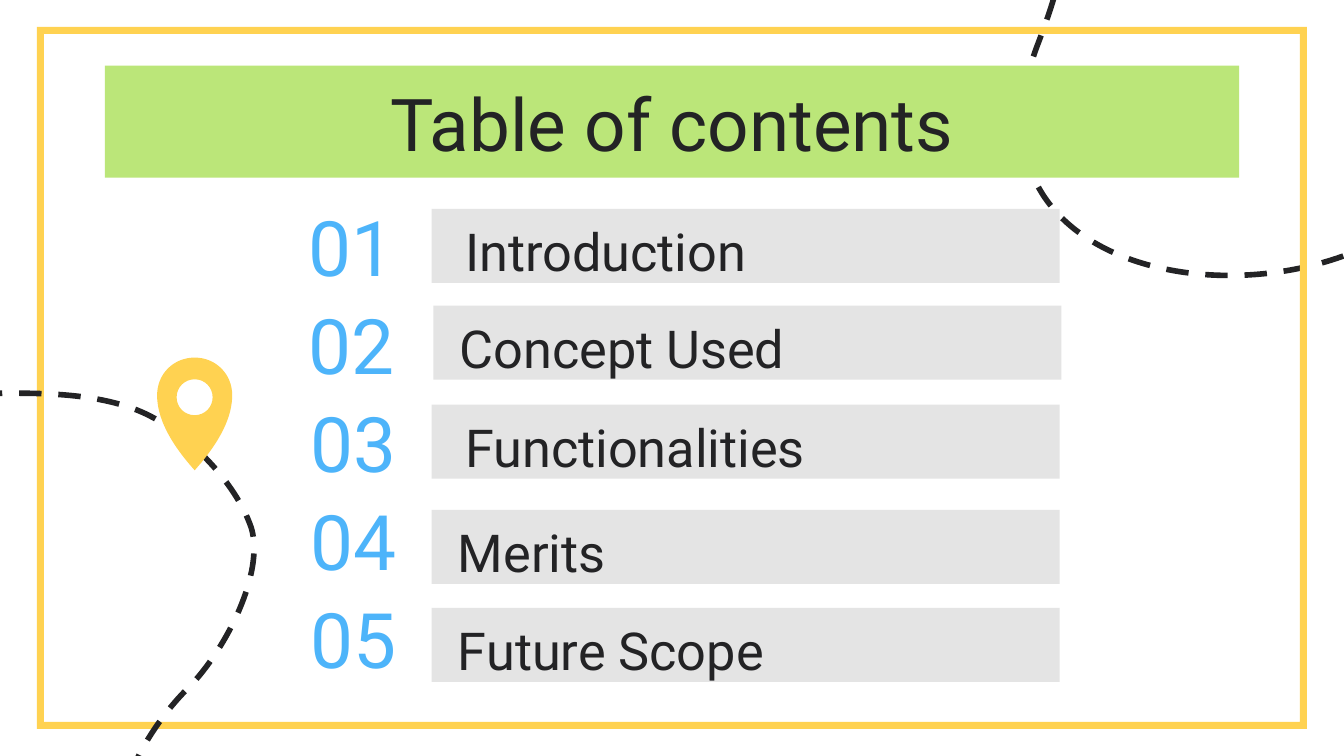
"""Build a table of contents slide with a dashed route and a map pin."""
import math
from dataclasses import dataclass

import lxml.etree
import pptx
import pptx.dml.color
import pptx.enum.dml
import pptx.enum.shapes
import pptx.enum.text
import pptx.oxml.ns
import pptx.slide
import pptx.util

Cm = pptx.util.Cm
Point = tuple[float, float]
Curve = tuple[Point, Point, Point]

COLORS = {
    "ink": "232325",
    "yellow": "FFD251",
    "green": "BBE679",
    "gray": "E4E4E4",
    "blue": "4DB4FA",
}
FONT_NAME = "Roboto"
ROW_HEIGHT = 1.4
NUMBER_TOP = 3.95
NUMBER_PITCH = 1.85
INSET = 0.25


@dataclass(frozen=True)
class Entry:
    """A contents row, with its places in centimetres."""

    text: str
    bar_left: float
    bar_top: float
    number_left: float
    indented: bool = False


@dataclass(frozen=True)
class Contour:
    """A chain of cubic curves, in centimetres on the slide."""

    start: Point
    curves: tuple[Curve, ...]


@dataclass(frozen=True)
class Outline:
    """Contours with the box that holds them before rotation."""

    left: float
    top: float
    width: float
    height: float
    contours: tuple[Contour, ...]
    rotation: float = 0
    closed: bool = False


ENTRIES = (
    Entry("Introduction", 8.16, 3.95, 5.36, True),
    Entry(" Concept Used", 8.19, 5.78, 5.36),
    Entry("Functionalities", 8.16, 7.65, 5.39, True),
    Entry(" Merits", 8.16, 9.64, 5.39),
    Entry(" Future Scope", 8.16, 11.49, 5.39),
)
RIGHT_ROUTE = Outline(16.81, -3.33, 10.41, 10.64, (
    Contour((19.84, -2.92), (
        ((20.5, -1.73), (20.04, -0.28), (19.61, 0.84)),
        ((17.68, 5.89), (25.78, 6.48), (27.71, 3.02)),
    )),
), rotation=164.7)
LEFT_ROUTE = Outline(-9.02, 6.22, 19.15, 6.96, (
    Contour((4.39, 18.8), (
        ((4.04, 18.72), (3.68, 18.57), (3.35, 18.29)),
        ((1.02, 16.18), (2.79, 13.74), (3.58, 12.98)),
        ((4.29, 12.24), (5.0, 10.82), (4.75, 9.98)),
        ((4.45, 9.09), (3.48, 8.1), (2.59, 7.75)),
        ((0.71, 7.01), (-2.31, 7.9), (-4.14, 7.14)),
        ((-5.69, 6.5), (-6.78, 4.75), (-6.83, 3.25)),
    )),
), rotation=233.6)
PIN = Outline(2.97, 6.76, 1.42, 2.13, (
    Contour((3.68, 7.17), (
        ((3.87, 7.17), (4.02, 7.32), (4.02, 7.51)),
        ((4.02, 7.7), (3.87, 7.85), (3.68, 7.85)),
        ((3.49, 7.85), (3.34, 7.7), (3.34, 7.51)),
        ((3.34, 7.32), (3.49, 7.17), (3.68, 7.17)),
    )),
    Contour((3.68, 6.76), (
        ((3.28, 6.76), (2.97, 7.07), (2.97, 7.47)),
        ((2.97, 7.87), (3.18, 8.33), (3.68, 8.89)),
        ((4.18, 8.33), (4.39, 7.87), (4.39, 7.47)),
        ((4.39, 7.07), (4.08, 6.76), (3.68, 6.76)),
    )),
), closed=True)


def color(name: str) -> pptx.dml.color.RGBColor:
    """Return a palette colour."""
    return pptx.dml.color.RGBColor.from_string(COLORS[name])


def local_point(outline: Outline, point: Point) -> Point:
    """Turn a slide point back into the unrotated box of an outline."""
    angle = math.radians(-outline.rotation)
    x = point[0] - outline.left - outline.width / 2
    y = point[1] - outline.top - outline.height / 2
    return (x * math.cos(angle) - y * math.sin(angle) + outline.width / 2,
            x * math.sin(angle) + y * math.cos(angle) + outline.height / 2)


def add_command(geometry, name: str, outline: Outline, points: tuple[Point, ...] = ()) -> None:
    """Append a drawing command to a freeform geometry."""
    command = lxml.etree.SubElement(geometry, pptx.oxml.ns.qn(f"a:{name}"))
    for point in points:
        x, y = local_point(outline, point)
        lxml.etree.SubElement(command, pptx.oxml.ns.qn("a:pt"), x=str(Cm(x)), y=str(Cm(y)))


def draw_outline(slide: pptx.slide.Slide, outline: Outline):
    """Draw a curved freeform."""
    left, top = Cm(outline.left), Cm(outline.top)
    builder = slide.shapes.build_freeform(left, top)
    builder.add_line_segments([(left + Cm(outline.width), top + Cm(outline.height))], close=False)
    shape = builder.convert_to_shape()
    geometry = shape.element.xpath(".//a:path")[0]
    for command in list(geometry):
        geometry.remove(command)
    for contour in outline.contours:
        add_command(geometry, "moveTo", outline, (contour.start,))
        for curve in contour.curves:
            add_command(geometry, "cubicBezTo", outline, curve)
        if outline.closed:
            add_command(geometry, "close", outline)
    shape.rotation = outline.rotation
    shape.shadow.inherit = False
    return shape


def draw_route(slide: pptx.slide.Slide, outline: Outline) -> None:
    """Draw a dashed route."""
    shape = draw_outline(slide, outline)
    shape.fill.background()
    shape.line.color.rgb = color("ink")
    shape.line.width = pptx.util.Pt(3)
    shape.line.dash_style = pptx.enum.dml.MSO_LINE.DASH


def fill_plain(shape, fill_name: str) -> None:
    """Give a shape a solid fill without outline."""
    shape.fill.solid()
    shape.fill.fore_color.rgb = color(fill_name)
    shape.line.fill.background()


def write_text(shape, text: str, size: float, color_name: str,
               centered: bool = True, middle: bool = True) -> None:
    """Write one formatted paragraph into a shape."""
    frame = shape.text_frame
    frame.text = text
    frame.word_wrap = True
    frame.auto_size = pptx.enum.text.MSO_AUTO_SIZE.NONE
    frame.margin_left = frame.margin_right = Cm(INSET)
    frame.margin_top = frame.margin_bottom = Cm(INSET)
    anchors = pptx.enum.text.MSO_ANCHOR
    frame.vertical_anchor = anchors.MIDDLE if middle else anchors.TOP
    paragraph = frame.paragraphs[0]
    alignments = pptx.enum.text.PP_ALIGN
    paragraph.alignment = alignments.CENTER if centered else alignments.LEFT
    paragraph.line_spacing = 1.0 if centered else 1.15
    font = paragraph.runs[0].font
    font.name = FONT_NAME
    font.size = pptx.util.Pt(size)
    font.color.rgb = color(color_name)


def draw_entry(slide: pptx.slide.Slide, index: int, entry: Entry) -> None:
    """Draw the bar and the number of a contents row."""
    bar = slide.shapes.add_shape(
        pptx.enum.shapes.MSO_SHAPE.RECTANGLE,
        Cm(entry.bar_left), Cm(entry.bar_top), Cm(11.87), Cm(ROW_HEIGHT))
    bar.shadow.inherit = False
    fill_plain(bar, "gray")
    write_text(bar, entry.text, 28, "ink", centered=False)
    if entry.indented:
        properties = bar.element.xpath(".//a:pPr")[0]
        properties.set("marL", str(Cm(1.27)))
        properties.set("indent", str(Cm(-0.89)))
    number = slide.shapes.add_textbox(
        Cm(entry.number_left), Cm(NUMBER_TOP + index * NUMBER_PITCH), Cm(2.57), Cm(ROW_HEIGHT))
    write_text(number, f"{index + 1:02d}", 41, "blue")


def main() -> None:
    """Build and save the slide."""
    presentation = pptx.Presentation()
    presentation.slide_width, presentation.slide_height = Cm(25.4), Cm(14.29)
    slide = presentation.slides.add_slide(presentation.slide_layouts.get_by_name("Title Only"))
    draw_route(slide, RIGHT_ROUTE)
    border = slide.shapes.add_shape(
        pptx.enum.shapes.MSO_SHAPE.FRAME, Cm(0.7), Cm(0.51), Cm(24), Cm(13.27))
    border.adjustments[0] = 0.01
    border.shadow.inherit = False
    fill_plain(border, "yellow")
    draw_route(slide, LEFT_ROUTE)
    title = slide.shapes.title
    slide.shapes[-1].element.addnext(title.element)
    title.left, title.top, title.width, title.height = Cm(1.98), Cm(1.24), Cm(21.44), Cm(2.12)
    fill_plain(title, "green")
    write_text(title, "Table of contents", 39, "ink", middle=False)
    for index, entry in enumerate(ENTRIES):
        draw_entry(slide, index, entry)
    fill_plain(draw_outline(slide, PIN), "yellow")
    presentation.save("out.pptx")


if __name__ == "__main__":
    main()
